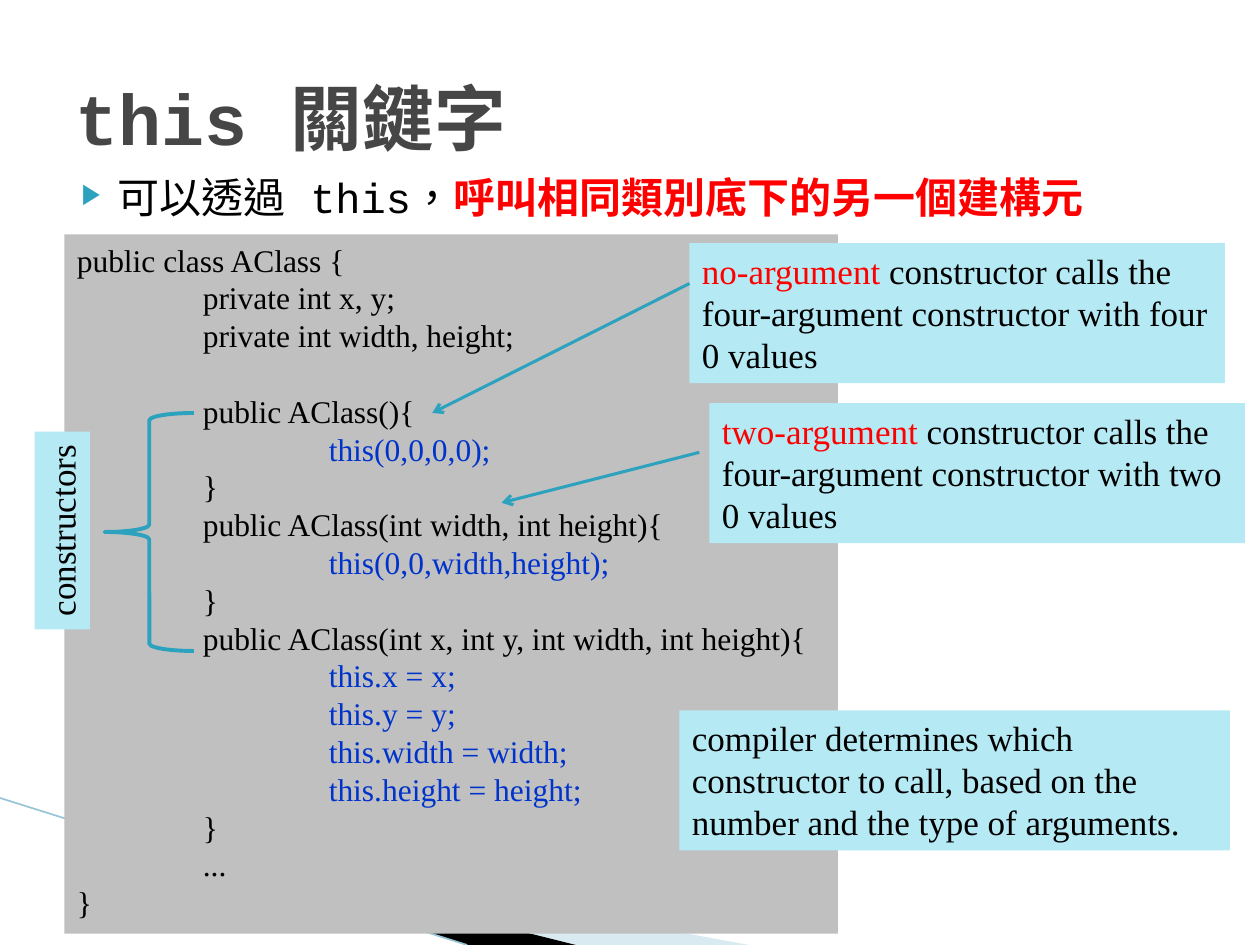
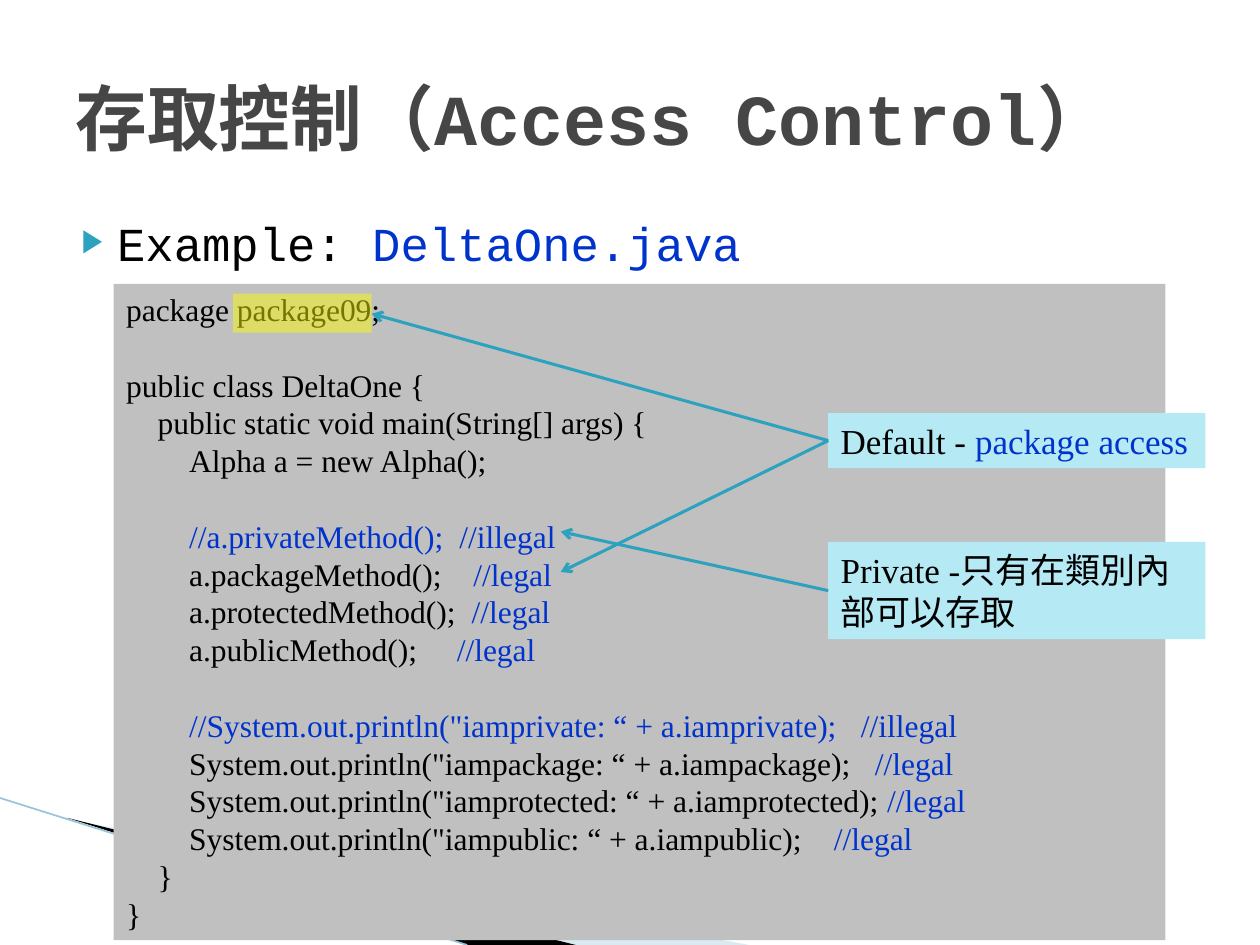
from dataclasses import dataclass
from typing import NamedTuple

from lxml import etree
from pptx import Presentation
from pptx.dml.color import RGBColor
from pptx.enum.shapes import MSO_CONNECTOR, MSO_SHAPE
from pptx.enum.text import MSO_ANCHOR, PP_ALIGN
from pptx.oxml.ns import qn
from pptx.util import Pt

STRAIGHT = MSO_CONNECTOR.STRAIGHT
RECTANGLE = MSO_SHAPE.RECTANGLE
LEFT_BRACE = MSO_SHAPE.LEFT_BRACE
TOP, MIDDLE = MSO_ANCHOR.TOP, MSO_ANCHOR.MIDDLE
LEFT, CENTER = PP_ALIGN.LEFT, PP_ALIGN.CENTER


@dataclass(frozen=True)
class Theme:
    """Colours, fonts, type sizes and line pitches of the deck."""

    black: str = "000000"
    red: str = "FF0000"
    blue: str = "0033CC"
    heading: str = "464646"
    accent: str = "2DA2BF"
    panel: str = "C0C0C0"
    callout: str = "B5E9F4"
    marker: str = "FFFF00"
    swoosh: str = "A0CBDC"
    swoosh_edge: str = "97C5D8"
    mono: str = "Courier New"
    serif: str = "Times New Roman"
    title_size: float = 41
    code_size: float = 18
    code_pitch: float = 21.6
    note_size: float = 20
    note_pitch: float = 24


THEME = Theme()


class Area(NamedTuple):
    """Left, top, width and height in points."""

    left: float
    top: float
    width: float
    height: float


class Point(NamedTuple):
    """A place on the page in points."""

    x: float
    y: float


class Span(NamedTuple):
    """A run of text with its colour, weight and letter spacing in points."""

    text: str
    color: str = THEME.black
    bold: bool = False
    tracking: float = 0


class CodeLine(NamedTuple):
    """A code line: indent level, spans, blank line above."""

    level: int
    spans: list[Span]
    gap: bool = False


class Note(NamedTuple):
    """A callout box."""

    area: Area
    spans: list[Span]
    rotation: float = 0
    align: PP_ALIGN = LEFT


class Arrow(NamedTuple):
    """An arrow from a callout to the code."""

    start: Point
    end: Point


def plain(level: int, text: str, gap: bool = False) -> CodeLine:
    """Return a black code line."""
    return CodeLine(level, [Span(text)], gap)


def blue(level: int, text: str) -> CodeLine:
    """Return a blue code line."""
    return CodeLine(level, [Span(text, THEME.blue)])


def legal(text: str, extra: float) -> CodeLine:
    """Return a statement and its blue comment after a widened space."""
    return CodeLine(2, [Span(text), Span(" ", tracking=extra), Span("//legal", THEME.blue)])


def illegal(text: str, extra: float) -> CodeLine:
    """Return a disabled statement, wholly blue, after a blank line."""
    space = Span(" ", tracking=extra)
    return CodeLine(2, [Span("//" + text, THEME.blue), space, Span("//illegal", THEME.blue)], True)


def add_child(parent, tag: str, **attributes: str):
    """Append a DrawingML element."""
    return etree.SubElement(parent, qn(f"a:{tag}"), attributes)


def paint(shape, color: str, opacity: int = 100) -> None:
    """Give a shape a flat fill without line or shadow."""
    shape.shadow.inherit = False
    shape.line.fill.background()
    shape.fill.solid()
    shape.fill.fore_color.rgb = RGBColor.from_string(color)
    if opacity < 100:
        tint = shape.fill._xPr.find(qn("a:solidFill"))[0]
        add_child(tint, "alpha", val=str(opacity * 1000))


def add_spans(para, spans: list[Span], font: str, size: float) -> None:
    """Write the runs of a paragraph."""
    for span in spans:
        run = para.add_run()
        run.text = span.text
        run.font.name = font
        run.font.size = Pt(size)
        run.font.bold = span.bold
        run.font.color.rgb = RGBColor.from_string(span.color)
        properties = run._r.get_or_add_rPr()
        properties.set("lang", "zh-TW")
        if span.tracking:
            properties.set("spc", str(round(span.tracking * 100)))
        add_child(properties, "ea", typeface=THEME.mono)


def set_frame(shape, anchor: MSO_ANCHOR = TOP):
    """Prepare the text frame of a shape and return it."""
    frame = shape.text_frame
    frame.word_wrap = True
    frame.vertical_anchor = anchor
    return frame


def add_title(page, spans: list[Span]) -> None:
    """Add the page title."""
    box = page.shapes.add_textbox(Pt(36), Pt(21.6), Pt(648), Pt(90))
    para = set_frame(box, MIDDLE).paragraphs[0]
    add_spans(para, spans, THEME.mono, THEME.title_size)


def add_bullet(page, area: Area, spans: list[Span], size: float, spacing: float = 1) -> None:
    """Add the bulleted line below the title."""
    box = page.shapes.add_textbox(*map(Pt, area))
    para = set_frame(box).paragraphs[0]
    para.space_before = Pt(4)
    para.line_spacing = spacing
    properties = para._p.get_or_add_pPr()
    properties.set("marL", str(Pt(28.8)))
    properties.set("indent", str(Pt(-20.2)))
    add_child(add_child(properties, "buClr"), "srgbClr", val=THEME.accent)
    add_child(properties, "buSzPct", val="68000")
    add_child(properties, "buFont", typeface=THEME.mono)
    add_child(properties, "buChar", char="▶")
    add_spans(para, spans, THEME.mono, size)


def add_code(page, area: Area, lines: list[CodeLine], step: float) -> None:
    """Add a grey code panel whose levels are indented by a step."""
    panel = page.shapes.add_shape(RECTANGLE, *map(Pt, area))
    paint(panel, THEME.panel)
    frame = set_frame(panel)
    for index, line in enumerate(lines):
        para = frame.add_paragraph() if index else frame.paragraphs[0]
        para.alignment = LEFT
        para.line_spacing = Pt(THEME.code_pitch)
        para.space_before = Pt(THEME.code_pitch if line.gap else 0)
        properties = para._p.get_or_add_pPr()
        properties.set("marL", "0")
        properties.set("indent", str(Pt(line.level * step)))
        add_spans(para, line.spans, THEME.serif, THEME.code_size)


def add_note(page, note: Note) -> None:
    """Add a callout box."""
    box = page.shapes.add_shape(RECTANGLE, *map(Pt, note.area))
    paint(box, THEME.callout)
    box.rotation = note.rotation
    para = set_frame(box).paragraphs[0]
    para.alignment = note.align
    para.line_spacing = Pt(THEME.note_pitch)
    add_spans(para, note.spans, THEME.serif, THEME.note_size)


def add_line(page, start: Point, end: Point, color: str, width: float):
    """Add a straight line and return its line properties."""
    line = page.shapes.add_connector(STRAIGHT, *map(Pt, start + end))
    line.line.color.rgb = RGBColor.from_string(color)
    line.line.width = Pt(width)
    add_child(line._element.spPr, "effectLst")
    return line.line._get_or_add_ln()


def add_arrow(page, arrow: Arrow) -> None:
    """Add an arrow with an open head."""
    outline = add_line(page, arrow.start, arrow.end, THEME.accent, 1.75)
    add_child(outline, "tailEnd", type="arrow")


def add_brace(page, area: Area) -> None:
    """Add the brace that groups the constructors."""
    brace = page.shapes.add_shape(LEFT_BRACE, *map(Pt, area))
    brace.shadow.inherit = False
    brace.fill.background()
    brace.adjustments[0] = 0.083
    brace.line.color.rgb = RGBColor.from_string(THEME.accent)
    brace.line.width = Pt(2.25)


def add_wedge(page, points: list[Point], color: str, opacity: int = 100) -> None:
    """Add a filled outline to the corner decoration."""
    builder = page.shapes.build_freeform(Pt(points[0].x), Pt(points[0].y))
    builder.add_line_segments([(Pt(x), Pt(y)) for x, y in points[1:]])
    paint(builder.convert_to_shape(), color, opacity)


def add_page(deck, title: list[Span]):
    """Add a page with the corner decoration and a title."""
    page = deck.slides.add_slide(deck.slide_layouts[6])
    light = [Point(39.6, 468.4), Point(428, 540), Point(328, 540)]
    dark = [Point(38.2, 467.3), Point(329, 540), Point(267, 540)]
    add_wedge(page, light, THEME.swoosh, 40)
    add_wedge(page, dark, THEME.black)
    add_line(page, Point(0, 456), Point(267, 540), THEME.swoosh_edge, 0.95)
    add_title(page, title)
    return page


def build_this_page(deck) -> None:
    """Build the page on calling constructors through this."""
    page = add_page(deck, [Span("this 關鍵字", THEME.heading, True)])
    opening = [Span("可以透過"), Span(" ", tracking=-9), Span("this，")]
    bullet = [*opening, Span("呼叫相同類別底下的另一個建構元", THEME.red, True)]
    add_bullet(page, Area(31, 94.3, 671, 62.6), bullet, 24)
    fields = ("x", "y", "width", "height")
    code = [
        plain(0, "public class AClass {"),
        plain(1, "private int x, y;"),
        plain(1, "private int width, height;"),
        plain(1, "public AClass(){", True),
        blue(2, "this(0,0,0,0);"),
        plain(1, "}"),
        plain(1, "public AClass(int width, int height){"),
        blue(2, "this(0,0,width,height);"),
        plain(1, "}"),
        plain(1, "public AClass(int x, int y, int width, int height){"),
        *(blue(2, f"this.{field} = {field};") for field in fields),
        plain(1, "}"),
        plain(1, "..."),
        plain(0, "}"),
    ]
    add_code(page, Area(36.8, 133.9, 442, 399.6), code, 72)
    compiler = "compiler determines which constructor to call, based on the number and the type of arguments."
    calls = " constructor calls the four-argument constructor with {} 0 values"
    notes = [
        Note(Area(388.3, 406, 314.6, 80), [Span(compiler)]),
        Note(Area(-20.9, 287.3, 113, 31.7), [Span("constructors")], 270, CENTER),
        Note(Area(394, 139, 306, 80), [Span("no-argument", THEME.red), Span(calls.format("four"))]),
        Note(Area(405.4, 230.4, 306, 80), [Span("two-argument", THEME.red), Span(calls.format("two"))]),
    ]
    for note in notes:
        add_note(page, note)
    add_brace(page, Area(59.8, 236, 51, 136))
    add_arrow(page, Arrow(Point(394, 162), Point(247, 236)))
    add_arrow(page, Arrow(Point(399.6, 258.5), Point(286.6, 287.3)))


def build_access_page(deck) -> None:
    """Build the page on access control."""
    page = add_page(deck, [Span("存取控制（Access Control）", THEME.heading, True)])
    bullet = [Span("Example: "), Span("DeltaOne.java", THEME.blue)]
    add_bullet(page, Area(31, 122.4, 671, 39.6), bullet, 27, 0.9)
    output = 'System.out.println("iam{0}: “ + a.iam{0});'
    code = [
        plain(0, "package package09;"),
        plain(0, "public class DeltaOne {", True),
        plain(1, "public static void main(String[] args) {"),
        plain(2, "Alpha a = new Alpha();"),
        illegal("a.privateMethod();", 4.5),
        legal("a.packageMethod();", 13.5),
        legal("a.protectedMethod();", 4.5),
        legal("a.publicMethod();", 18),
        illegal(output.format("private"), 9),
        legal(output.format("package"), 9),
        legal(output.format("protected"), 0),
        legal(output.format("public"), 13.5),
        plain(1, "}"),
        plain(0, "}"),
    ]
    add_code(page, Area(65, 162.2, 601, 375), code, 18)
    marker = page.shapes.add_shape(RECTANGLE, Pt(133.2), Pt(167.8), Pt(79.2), Pt(22.3))
    paint(marker, THEME.marker, 46)
    package = [Span("Default - "), Span("package access", THEME.blue)]
    add_note(page, Note(Area(473.3, 236, 215.5, 31.5), package))
    add_note(page, Note(Area(473.3, 309.6, 215.5, 55.6), [Span("Private -只有在類別內部可以存取")]))
    source = Point(473.3, 251.8)
    add_arrow(page, Arrow(source, Point(320.4, 326.9)))
    add_arrow(page, Arrow(source, Point(212.4, 179.3)))
    add_arrow(page, Arrow(Point(473.3, 337.5), Point(320.4, 303.8)))


def main() -> None:
    """Build and save the deck."""
    deck = Presentation()
    deck.slide_width, deck.slide_height = Pt(720), Pt(540)
    build_this_page(deck)
    build_access_page(deck)
    deck.save("out.pptx")


main()
